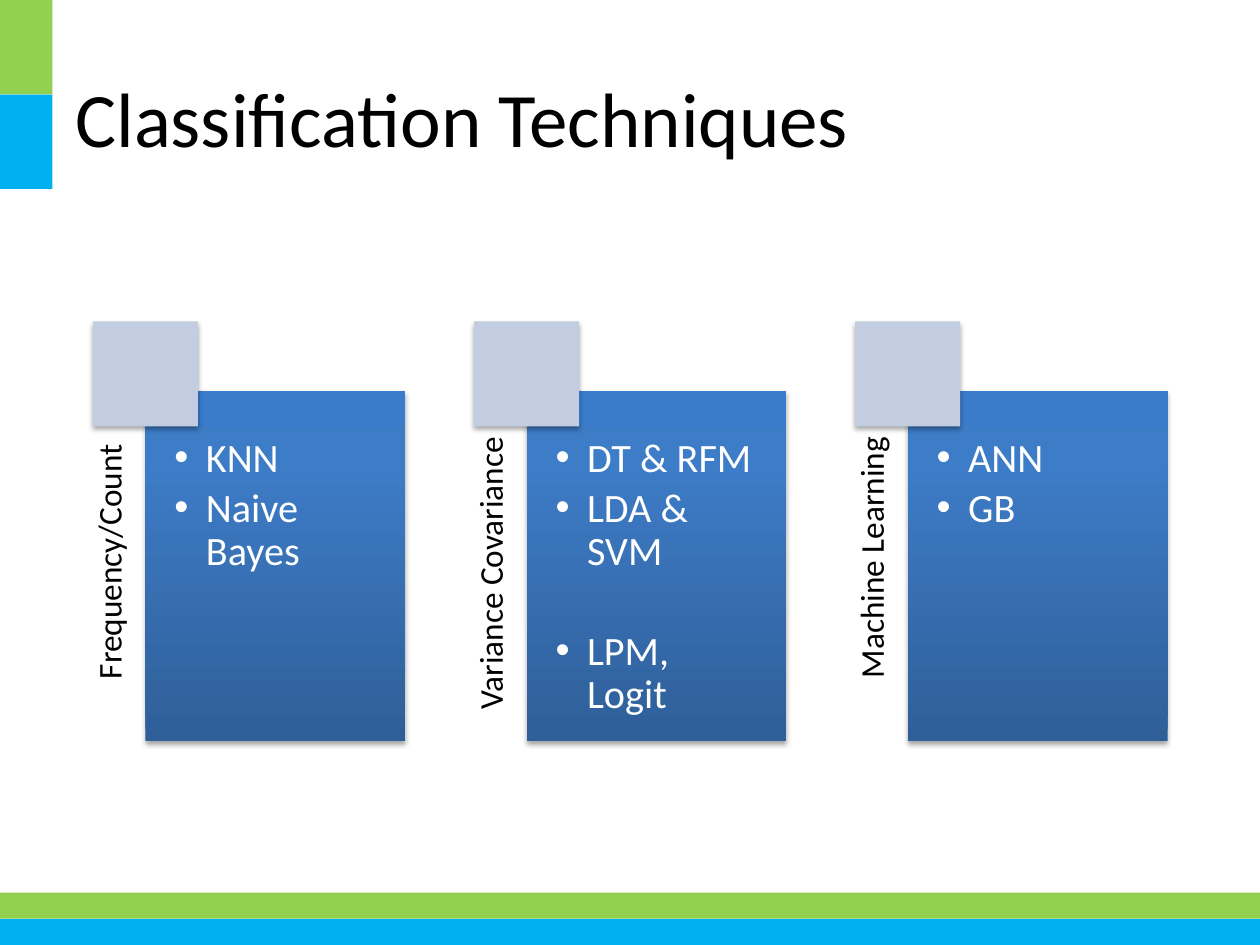
"""Build the classification techniques slide on a grid of 24 by 18 square cells."""
import pptx
import pptx.util
import pptx.dml.color
import pptx.enum.shapes
import pptx.enum.text
import pptx.oxml
import pptx.oxml.ns

INCH = pptx.util.Inches
POINT = pptx.util.Pt
ALIGN = pptx.enum.text.PP_ALIGN
ANCHOR = pptx.enum.text.MSO_ANCHOR
GREEN, BLUE, PALE = "92D050", "00B0F0", "C2CDE1"
BLACK, WHITE = "000000", "FFFFFF"
FADE = [(0, "2F5F99"), (80, "3D7CC7"), (100, "3A7CCB")]


def color(code):
    return pptx.dml.color.RGBColor.from_string(code)


def node(body):
    return pptx.oxml.parse_xml(body.replace(">", f" {pptx.oxml.ns.nsdecls('a')}>", 1))


def write(shape, lines, size=18, ink=BLACK, font="Calibri", align=ALIGN.LEFT,
          anchor=ANCHOR.TOP, inset=(0, 0, 0, 0), space=None, after=0,
          bullet=False, gaps=None):
    frame = shape.text_frame
    frame.word_wrap = True
    frame.vertical_anchor = anchor
    (frame.margin_left, frame.margin_top,
     frame.margin_right, frame.margin_bottom) = map(INCH, inset)
    for i, line in enumerate(lines):
        para = frame.paragraphs[0] if i == 0 else frame.add_paragraph()
        para.alignment = align
        para.line_spacing = space
        para.space_before = POINT((gaps or {}).get(i, 0))
        para.space_after = POINT(after)
        if bullet:
            props = para._p.get_or_add_pPr()
            props.set("marL", str(INCH(0.25)))
            props.set("indent", str(-INCH(0.25)))
            props.append(node('<a:buFont typeface="Arial"/>'.replace("/>", "></a:buFont>")))
            props.append(node('<a:buChar char="•"></a:buChar>'))
        run = para.add_run()
        run.text = line
        run.font.name = font
        run.font.size = POINT(size)
        run.font.color.rgb = color(ink)


class Deck:
    """Hold the grid, the style and the current slide."""

    def __init__(self, wide=10, high=7.5, cols=24):
        self.show = pptx.Presentation()
        self.show.slide_width = INCH(wide)
        self.show.slide_height = INCH(high)
        self.cell = wide / cols
        self.slide = self.show.slides.add_slide(self.show.slide_layouts[6])

    def place(self, *cells):
        return [INCH(n * self.cell) for n in cells]

    def block(self, x, y, w, h, fill, shade=False):
        shape = self.slide.shapes.add_shape(
            pptx.enum.shapes.MSO_SHAPE.RECTANGLE, *self.place(x, y, w, h))
        shape.line.fill.background()
        shape.shadow.inherit = False
        if isinstance(fill, str):
            shape.fill.solid()
            shape.fill.fore_color.rgb = color(fill)
        else:
            shape.fill.gradient()
            shape.fill.gradient_angle = 90
            stops = shape._element.spPr.find(".//" + pptx.oxml.ns.qn("a:gsLst"))
            for old in list(stops):
                stops.remove(old)
            for pos, code in fill:
                stops.append(node(
                    f'<a:gs pos="{pos * 1000}"><a:srgbClr val="{code}"/></a:gs>'))
        if shade:
            shape._element.spPr.find(pptx.oxml.ns.qn("a:effectLst")).append(node(
                f'<a:outerShdw blurRad="{POINT(3.1)}" dist="{POINT(1.8)}" '
                'dir="5400000" rotWithShape="0"><a:srgbClr val="000000">'
                '<a:alpha val="35000"/></a:srgbClr></a:outerShdw>'))
        return shape

    def text(self, x, y, w, h, line, turn=0, **style):
        shape = self.slide.shapes.add_textbox(*self.place(x, y, w, h))
        shape.rotation = turn
        write(shape, [line], **style)

    def card(self, x, y, label, items, gaps):
        w, h, drop = 4.95, 6.67, 1.32
        mid = y + drop + h / 2
        self.text(x + 0.5 - h / 2, mid - 0.5, h, 1, label, turn=270, size=19,
                  align=ALIGN.RIGHT, inset=(0, 0, 0.37, 0), space=0.9)
        panel = self.block(x + 1, y + drop, w, h, FADE, shade=True)
        write(panel, items, size=23, ink=WHITE, inset=(0.23, 0.37, 0.23, 0.23),
              space=0.9, after=4, bullet=True, gaps=gaps)
        self.block(x, y, 2, 2, PALE, shade=True)


deck = Deck()
for spot in [(0, 17.5, 24, 0.5, BLUE), (0, 17, 24, 0.5, GREEN),
             (0, 0, 1, 1.8, GREEN), (0, 1.8, 1, 1.8, BLUE)]:
    deck.block(*spot)
deck.text(1.2, 0.72, 21.6, 3, "Classification Techniques", size=44,
          anchor=ANCHOR.MIDDLE, inset=(0.1, 0.05, 0.1, 0.05))

groups = [
    ("Frequency/Count ", ["KNN", "Naive Bayes"], {}),
    ("Variance Covariance", ["DT & RFM", "LDA & SVM", "LPM, Logit"], {2: 28}),
    ("Machine Learning", ["ANN", "GB"], {}),
]
for i, group in enumerate(groups):
    deck.card(1.77 + 7.26 * i, 6.12, *group)

deck.show.save("out.pptx")
